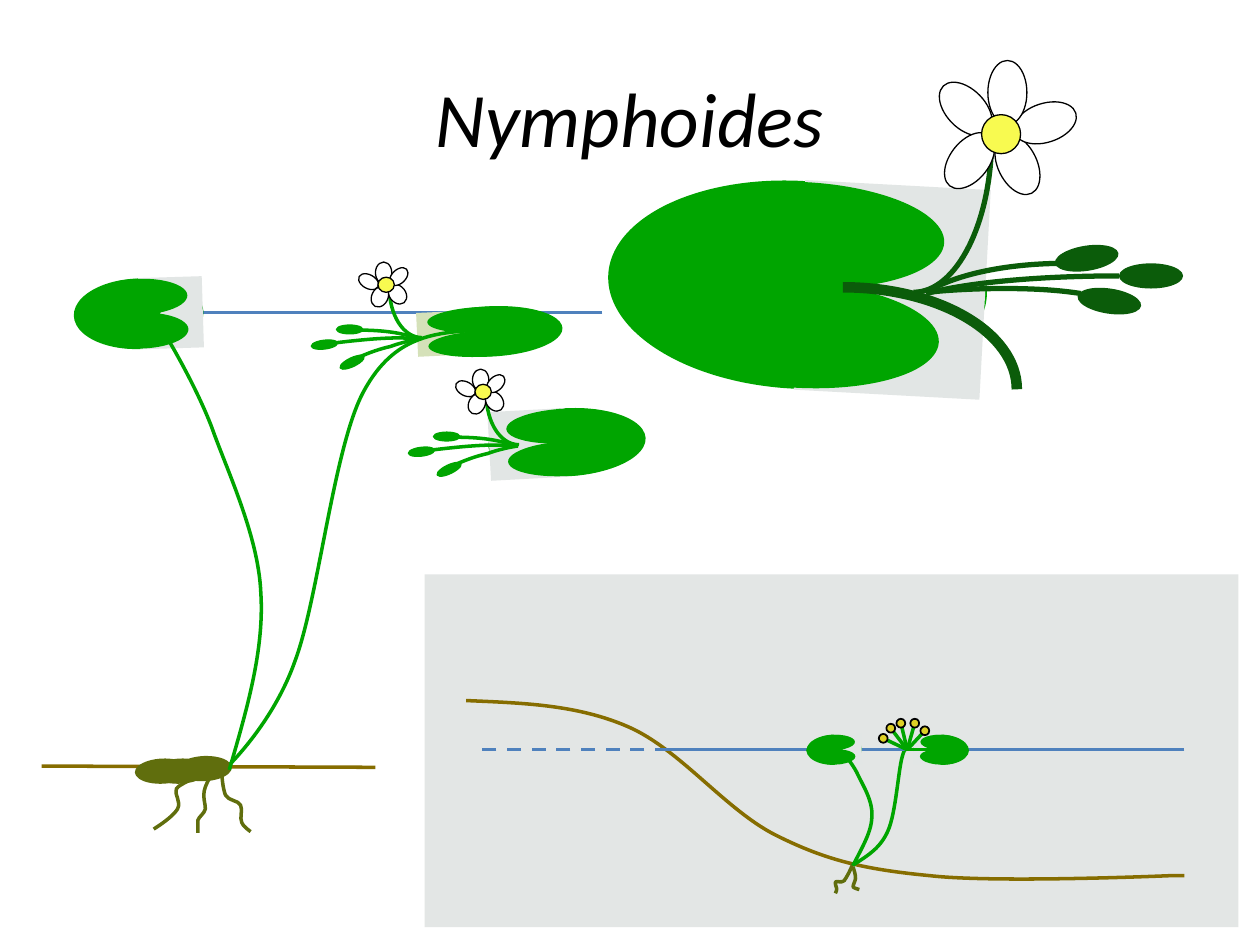
from math import cos, radians, sin

from lxml.etree import SubElement
from pptx import Presentation
from pptx.dml.color import RGBColor
from pptx.enum.dml import MSO_LINE_DASH_STYLE as Dash
from pptx.enum.shapes import MSO_CONNECTOR as Connector, MSO_SHAPE as Shape
from pptx.enum.text import MSO_ANCHOR as Anchor, PP_ALIGN as Align
from pptx.oxml.ns import qn
from pptx.util import Inches, Pt


class Theme:
    font, title_size = "Calibri", 44
    stem_width, outline_width, anther_width = 2, 0.75, 1
    thick_stem, leaf_stalk = 3, 6
    black, white = "000000", "FFFFFF"
    leaf, dark_stem, root = "00A500", "0B5C0A", "606E0D"
    soil, water = "866D00", "4F81BD"
    panel, notch, lit_notch = "E3E6E5", "E2E6E5", "D5E1B9"
    flower_centre, anther = "F8FA50", "DDD026"


# Curves: a start point, then two control points and an end point per segment.
SHORE = [(3.7, 5.56), (4.14, 5.58), (4.58, 5.59), (4.99, 5.77),
         (5.4, 5.95), (5.76, 6.43), (6.16, 6.63),
         (6.56, 6.83), (6.86, 6.9), (7.38, 6.95),
         (7.9, 7.01), (9.29, 6.95), (9.29, 6.95),
         (9.32, 6.95), (9.36, 6.95), (9.4, 6.95)]
INSET_FLOWER_STALK = [(6.78, 6.86), (6.89, 6.79), (6.99, 6.73), (7.05, 6.59),
                      (7.11, 6.45), (7.13, 6.12), (7.16, 6.01),
                      (7.19, 5.9), (7.2, 5.95), (7.21, 5.93)]
INSET_ROOTS = [
    [(6.77, 6.88), (6.78, 6.91), (6.79, 6.94), (6.79, 6.97),
     (6.79, 6.99), (6.77, 7.02), (6.77, 7.04), (6.78, 7.05), (6.82, 7.06), (6.82, 7.06)],
    [(6.77, 6.85), (6.75, 6.91), (6.72, 6.96), (6.7, 6.99),
     (6.68, 7.01), (6.64, 6.99), (6.63, 7), (6.62, 7.01), (6.64, 7.03), (6.64, 7.05),
     (6.64, 7.06), (6.64, 7.08), (6.63, 7.09)],
]
INSET_LEAF_STALK = [(6.77, 6.87), (6.84, 6.73), (6.92, 6.6), (6.92, 6.48),
                    (6.93, 6.35), (6.84, 6.22), (6.8, 6.13),
                    (6.76, 6.05), (6.67, 5.95), (6.67, 5.95)]
UMBEL_BASE = (7.2, 5.95)
ANTHER_CENTRES = [(7.01, 5.86), (7.07, 5.78), (7.15, 5.74), (7.26, 5.74), (7.34, 5.8)]
ANTHER_SIZE = 0.07

FLOWER_STALK = [(3.79, 2.62), (3.46, 2.64), (3.13, 2.66), (2.89, 3.1),
                (2.65, 3.53), (2.53, 4.75), (2.34, 5.25),
                (2.16, 5.76), (1.78, 6.11), (1.78, 6.11)]
LEAF_STALK = [(1.82, 6.11), (1.96, 5.63), (2.1, 5.15), (2.07, 4.7),
              (2.05, 4.25), (1.8, 3.73), (1.68, 3.39),
              (1.55, 3.05), (1.32, 2.67), (1.32, 2.67)]
ROOTS = [
    [(1.76, 6.09), (1.76, 6.17), (1.77, 6.26), (1.79, 6.31), (1.82, 6.36), (1.89, 6.35),
     (1.91, 6.39), (1.93, 6.43), (1.9, 6.49), (1.92, 6.53), (1.93, 6.56), (1.99, 6.6), (1.99, 6.6)],
    [(1.69, 6.13), (1.66, 6.18), (1.63, 6.23), (1.62, 6.28), (1.61, 6.33), (1.63, 6.38),
     (1.63, 6.42), (1.62, 6.46), (1.58, 6.48), (1.57, 6.51), (1.57, 6.54), (1.57, 6.61), (1.57, 6.61)],
    [(1.22, 6.58), (1.3, 6.53), (1.38, 6.47), (1.41, 6.42), (1.44, 6.36), (1.38, 6.3),
     (1.4, 6.26), (1.43, 6.22), (1.51, 6.2), (1.53, 6.17), (1.56, 6.14), (1.55, 6.06), (1.55, 6.06)],
]
# Ovals: left, top, width, height, rotation.
RHIZOME = [(1.4, 6, 0.44, 0.2, 177.3), (1.21, 6.02, 0.44, 0.2, 177.3), (1.07, 6.02, 0.44, 0.2, 177.3)]

BIG_SPRAY = {
    "stems": [[(7.25, 2.32), (7.59, 2.32), (7.87, 1.77), (7.87, 1.09)],
              [(8.46, 2.09), (8.01, 2.09), (7.6, 2.17), (7.35, 2.32)],
              [(8.88, 2.19), (8.26, 2.19), (7.69, 2.24), (7.35, 2.33)],
              [(8.58, 2.33), (8.39, 2.3), (8.18, 2.29), (7.97, 2.29),
               (7.76, 2.29), (7.55, 2.3), (7.36, 2.32)]],
    "petals": [(7.51, 0.61, 0.31, 0.51, 315.8), (7.54, 1.02, 0.31, 0.51, 38.1),
               (7.92, 1.05, 0.31, 0.51, 154), (8.14, 0.72, 0.31, 0.51, 72.3),
               (7.84, 0.48, 0.31, 0.51, 0)],
    "centre": (7.79, 0.91, 0.31, 0.31, 0),
    "buds": [(8.37, 1.95, 0.51, 0.2, 351.1), (8.88, 2.09, 0.51, 0.2, 0), (8.55, 2.29, 0.51, 0.2, 8.6)],
}
BIG_LEAF_STALK = [(6.69, 2.28), (7.45, 2.28), (8.07, 2.64), (8.07, 3.09)]
SMALL_SPRAY = {
    "stems": [[(4.12, 3.53), (3.97, 3.53), (3.86, 3.35), (3.86, 3.13)],
              [(3.61, 3.47), (3.8, 3.47), (3.97, 3.49), (4.08, 3.54)],
              [(3.44, 3.57), (3.69, 3.54), (3.93, 3.52), (4.07, 3.54)],
              [(3.63, 3.68), (3.7, 3.65), (3.78, 3.62), (3.87, 3.6),
               (3.95, 3.57), (4.04, 3.55), (4.11, 3.54)]],
    "petals": [(3.86, 3.1, 0.13, 0.17, 321.9), (3.72, 3.12, 0.13, 0.17, 206),
               (3.75, 2.93, 0.13, 0.17, 0), (3.88, 2.96, 0.11, 0.17, 226.5),
               (3.64, 3, 0.11, 0.17, 118.4)],
    "centre": (3.77, 3.05, 0.13, 0.12, 0),
    "buds": [(3.44, 3.43, 0.21, 0.07, 0), (3.24, 3.55, 0.21, 0.07, 353.1), (3.46, 3.69, 0.21, 0.07, 334.5)],
}
SPRAY_OFFSETS = [(0, 0), (-0.77, -0.85)]


def color(value):
    return RGBColor.from_string(value)


def set_line(shape, line_color, width):
    shape.line.color.rgb = color(line_color)
    shape.line.width = Pt(width)


def add_form(shapes, kind, box, fill, outline=None, width=Theme.outline_width):
    *frame, rotation = box
    shape = shapes.add_shape(kind, *map(Inches, frame))
    shape.rotation = rotation
    shape.shadow.inherit = False
    shape.fill.solid()
    shape.fill.fore_color.rgb = color(fill)
    if outline:
        set_line(shape, outline, width)
    else:
        shape.line.fill.background()


def add_line(shapes, start, end, line_color, dash=None):
    line = shapes.add_connector(Connector.STRAIGHT, *map(Inches, start + end))
    set_line(line, line_color, Theme.stem_width)
    if dash:
        line.line.dash_style = dash
    SubElement(line._element.spPr, qn("a:effectLst"))


def add_curve(shapes, points, line_color, width=Theme.stem_width):
    """Draw an open freeform, then turn each three vertices into one Bezier segment."""
    start, *rest = [(Inches(x), Inches(y)) for x, y in points]
    builder = shapes.build_freeform(*start)
    builder.add_line_segments(rest, close=False)
    shape = builder.convert_to_shape()
    vertices = list(shape._element.iter(qn("a:lnTo")))
    for index in range(0, len(vertices), 3):
        first, *others = vertices[index:index + 3]
        first.tag = qn("a:cubicBezTo")
        for vertex in others:
            first.append(vertex[0])
            vertex.getparent().remove(vertex)
    shape.fill.background()
    shape.shadow.inherit = False
    set_line(shape, line_color, width)


def add_leaf(shapes, centre, size, tilt, side, notch=Theme.notch,
             notch_size=(0.49, 1.01), notch_shift=0.25, lobe_shift=0.01):
    """Cover one side (1 right, -1 left) of an oval blade and lay two lobes over it."""
    width, height = size
    angle = radians(tilt)

    def part(kind, shift_x, shift_y, scale_x, scale_y, fill):
        dx, dy = side * shift_x * width, shift_y * height
        x = centre[0] + dx * cos(angle) - dy * sin(angle)
        y = centre[1] + dx * sin(angle) + dy * cos(angle)
        w, h = width * scale_x, height * scale_y
        add_form(shapes, kind, (x - w / 2, y - h / 2, w, h, 180 + tilt), fill)

    part(Shape.OVAL, 0, 0, 1, 1, Theme.leaf)
    part(Shape.RECTANGLE, notch_shift, 0, *notch_size, notch)
    for shift_y in (0.24, -0.24):
        part(Shape.OVAL, lobe_shift, shift_y, 0.74, 0.51, Theme.leaf)


def add_spray(shapes, spray, green, width, offset=(0, 0), bud_outline=None):
    dx, dy = offset

    def moved(box):
        return (box[0] + dx, box[1] + dy, *box[2:])

    for stem in spray["stems"]:
        add_curve(shapes, [moved(point) for point in stem], green, width)
    for petal in spray["petals"]:
        add_form(shapes, Shape.OVAL, moved(petal), Theme.white, Theme.black)
    add_form(shapes, Shape.OVAL, moved(spray["centre"]), Theme.flower_centre, Theme.black)
    for bud in spray["buds"]:
        add_form(shapes, Shape.OVAL, moved(bud), green, bud_outline)


def add_title(shapes):
    box = shapes.add_textbox(*map(Inches, (0.5, 0.3, 9, 1.25)))
    frame = box.text_frame
    frame.word_wrap = True
    frame.vertical_anchor = Anchor.MIDDLE
    frame.text = "Nymphoides"
    paragraph = frame.paragraphs[0]
    paragraph.alignment = Align.CENTER
    font = paragraph.runs[0].font
    font.name, font.size, font.italic = Theme.font, Pt(Theme.title_size), True
    font.color.rgb = color(Theme.black)


def add_inset(shapes):
    add_form(shapes, Shape.RECTANGLE, (3.37, 4.56, 6.46, 2.8, 0), Theme.panel)
    add_curve(shapes, SHORE, Theme.soil)
    add_line(shapes, (5.31, 5.95), (3.77, 5.95), Theme.water, Dash.DASH)
    add_curve(shapes, INSET_FLOWER_STALK, Theme.leaf)
    for root in INSET_ROOTS:
        add_curve(shapes, root, Theme.root)
    add_line(shapes, (9.4, 5.95), (5.31, 5.95), Theme.water)
    umbel = shapes.add_group_shape().shapes
    add_leaf(umbel, (7.47, 5.95), (0.44, 0.24), 1.8, -1)
    add_line(umbel, (7.58, 5.95), (7.18, 5.95), Theme.leaf)
    for centre in ANTHER_CENTRES:
        add_line(umbel, UMBEL_BASE, centre, Theme.leaf)
    for x, y in ANTHER_CENTRES:
        box = (x - ANTHER_SIZE / 2, y - ANTHER_SIZE / 2, ANTHER_SIZE, ANTHER_SIZE, 0)
        add_form(umbel, Shape.OVAL, box, Theme.anther, Theme.black, Theme.anther_width)
    floating = shapes.add_group_shape().shapes
    add_leaf(floating, (6.62, 5.95), (0.44, 0.24), -1.8, 1)
    add_curve(floating, INSET_LEAF_STALK, Theme.leaf)
    add_form(floating, Shape.OVAL, (6.4, 5.89, 0.28, 0.12, 178.2), Theme.leaf)


def add_plant(shapes):
    add_line(shapes, (4.78, 2.48), (1, 2.48), Theme.water)
    plant = shapes.add_group_shape().shapes
    add_leaf(plant, (3.89, 2.63), (1.15, 0.4), -2.7, -1, Theme.lit_notch, (0.45, 0.87), 0.28, 0.06)
    add_curve(plant, FLOWER_STALK, Theme.leaf)
    for root in ROOTS:
        add_curve(plant, root, Theme.root)
    for piece in RHIZOME:
        add_form(plant, Shape.OVAL, piece, Theme.root)
    floating = shapes.add_group_shape().shapes
    add_leaf(floating, (1.1, 2.49), (1.03, 0.56), -1.8, 1)
    add_form(floating, Shape.OVAL, (0.61, 2.33, 0.67, 0.27, 178.2), Theme.leaf)


def add_details(shapes):
    enlarged = shapes.add_group_shape().shapes
    add_leaf(enlarged, (6.33, 2.26), (3.01, 1.65), 3.1, 1)
    add_curve(enlarged, BIG_LEAF_STALK, Theme.dark_stem, Theme.leaf_stalk)
    add_spray(enlarged, BIG_SPRAY, Theme.dark_stem, Theme.thick_stem)
    add_curve(shapes, LEAF_STALK, Theme.leaf)
    add_leaf(shapes.add_group_shape().shapes, (4.5, 3.51), (1.25, 0.54), -3.1, -1)
    for offset in SPRAY_OFFSETS:
        add_spray(shapes.add_group_shape().shapes, SMALL_SPRAY, Theme.leaf,
                  Theme.stem_width, offset, Theme.leaf)


def main():
    presentation = Presentation()
    presentation.slide_width, presentation.slide_height = Inches(10), Inches(7.5)
    shapes = presentation.slides.add_slide(presentation.slide_layouts[6]).shapes
    add_line(shapes, (2.98, 6.09), (0.33, 6.08), Theme.soil)
    add_title(shapes)
    add_inset(shapes)
    add_plant(shapes)
    add_details(shapes)
    presentation.save("out.pptx")


if __name__ == "__main__":
    main()
